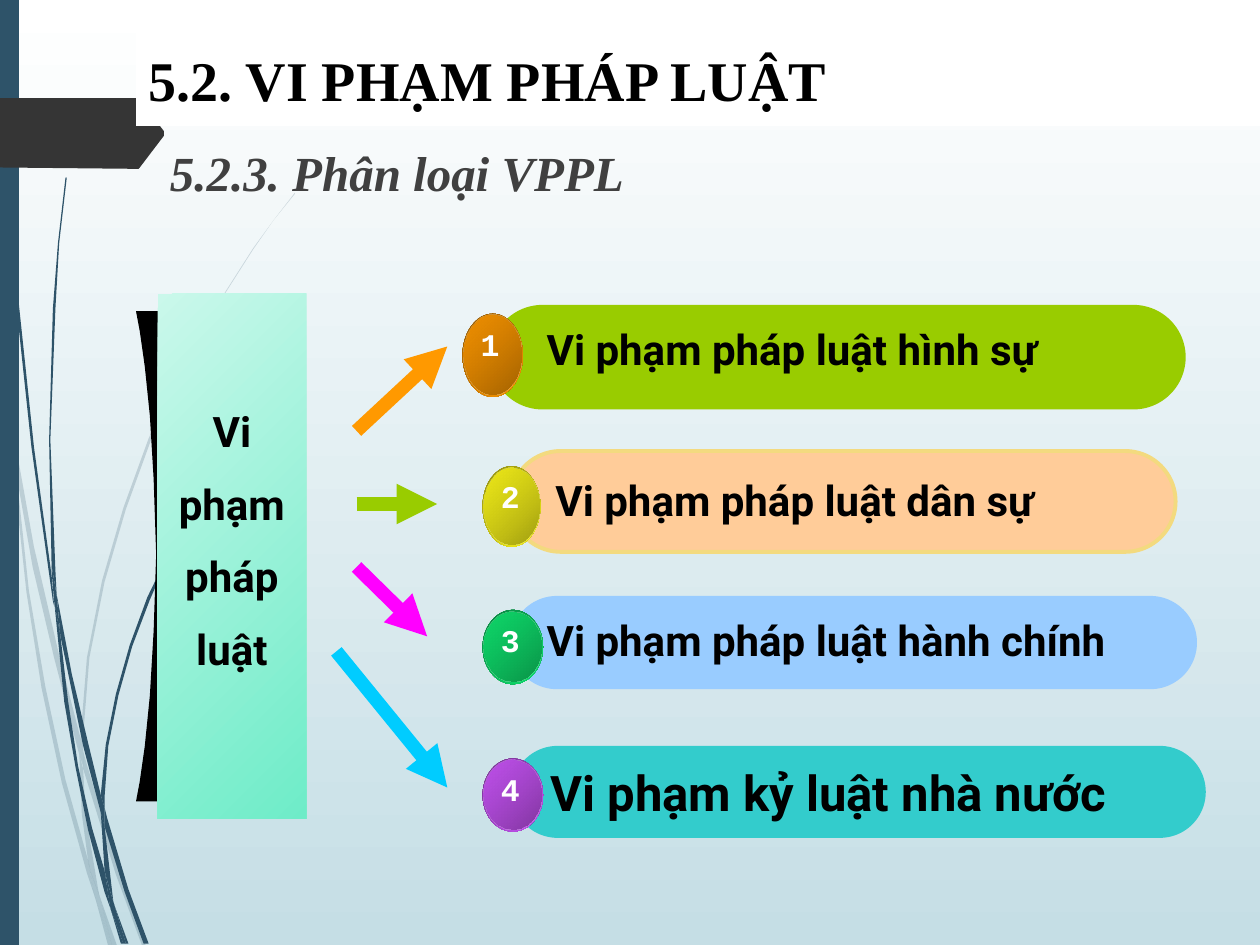
"""Build a slide that sorts breaches of law into four kinds."""
from lxml.etree import SubElement
from pptx import Presentation
from pptx.dml.color import RGBColor
from pptx.enum.shapes import MSO_CONNECTOR, MSO_SHAPE
from pptx.enum.text import MSO_ANCHOR, PP_ALIGN
from pptx.oxml.ns import qn
from pptx.util import Pt

PX = 9144
WIDTH, HEIGHT = 1000, 750

BLACK = RGBColor(0, 0, 0)
WHITE = RGBColor(255, 255, 255)
GRAY = RGBColor(0x40, 0x40, 0x40)
CHARCOAL = RGBColor(0x35, 0x35, 0x35)
NAVY = RGBColor(0x2E, 0x53, 0x69)
SKY = RGBColor(0xC5, 0xDE, 0xE5)
MINT = RGBColor(0xCA, 0xF8, 0xEB)
GREEN_MINT = RGBColor(0x6E, 0xEC, 0xC8)
ORANGE = RGBColor(0xFF, 0x99, 0)
BROWN = RGBColor(0x92, 0x58, 0)
DARK_BROWN = RGBColor(0xA2, 0x61, 0)
LIME = RGBColor(0x99, 0xCC, 0)
PEACH = RGBColor(0xFF, 0xCC, 0x99)
SAND = RGBColor(0xF3, 0xDA, 0x7F)
YELLOW = RGBColor(0xFC, 0xF7, 0x1A)
OLIVE = RGBColor(0x90, 0x8D, 0x0F)
DARK_OLIVE = RGBColor(0xA0, 0x9D, 0x11)
BLUE = RGBColor(0x99, 0xCC, 0xFF)
GREEN = RGBColor(0x10, 0xE4, 0x70)
DEEP_GREEN = RGBColor(0x09, 0x83, 0x40)
DARK_GREEN = RGBColor(0x0A, 0x91, 0x47)
TEAL = RGBColor(0x33, 0xCC, 0xCC)
VIOLET = RGBColor(0xCA, 0x55, 0xF9)
DEEP_VIOLET = RGBColor(0x74, 0x31, 0x8F)
DARK_VIOLET = RGBColor(0x80, 0x36, 0x9E)
MAGENTA = RGBColor(0xFF, 0, 0xFF)
CYAN = RGBColor(0, 0xCC, 0xFF)

TITLE = "5.2. VI PHẠM PHÁP LUẬT"
SUBTITLE = "5.2.3. Phân loại VPPL"
PANEL_WORDS = ["Vi", "phạm", "pháp", "luật"]

KINDS = [
    dict(label="Vi phạm pháp luật hình sự", size=24, at=(424, 252), bar=(389, 242, 552, 83),
         fill=LIME, edge=None, ball=(367, 249, 48, 66), tones=(ORANGE, DARK_BROWN, BROWN)),
    dict(label="Vi phạm pháp luật dân sự", size=24, at=(431, 372), bar=(405, 358, 528, 80),
         fill=PEACH, edge=SAND, ball=(383, 370, 46, 64), tones=(YELLOW, DARK_OLIVE, OLIVE)),
    dict(label="Vi phạm pháp luật hành chính", size=24, at=(424, 483), bar=(405, 473, 545, 74),
         fill=BLUE, edge=None, ball=(383, 484, 48, 59), tones=(GREEN, DARK_GREEN, DEEP_GREEN)),
    dict(label="Vi phạm kỷ luật nhà nước", size=28, at=(427, 600), bar=(406, 592, 551, 73),
         fill=TEAL, edge=None, ball=(383, 602, 48, 58), tones=(VIOLET, DARK_VIOLET, DEEP_VIOLET)),
]
ARROWS = [
    ((283, 342), (355, 275), ORANGE),
    ((283, 400), (347, 400), LIME),
    ((283, 450), (339, 505), MAGENTA),
    ((267, 517), (355, 625), CYAN),
]

PALE_WISPS = [
    [(8, 350), (6, 322), (0, 282), (0, 299), (8, 344)],
    [(43, 522), (63, 599), (64, 586), (47, 520), (27, 434), (11, 345), (13, 376), (26, 450)],
    [(69, 607), (66, 596), (66, 610), (92, 694), (113, 751), (116, 751), (95, 692)],
    [(89, 751), (93, 751), (79, 711)],
    [(70, 683), (52, 619), (36, 545), (23, 469), (13, 376), (8, 350), (21, 470), (33, 546),
     (49, 621), (69, 693), (76, 714), (74, 707)],
    [(63, 599), (65, 646), (70, 683), (72, 692), (79, 711), (78, 706), (68, 646), (66, 610)],
    [(66, 584), (71, 522), (83, 462), (100, 404), (120, 349), (144, 295), (171, 245), (201, 198),
     (217, 175), (234, 154), (234, 153), (217, 175), (201, 197), (171, 244), (143, 294),
     (118, 348), (98, 403), (81, 461), (69, 522), (64, 584), (64, 586), (66, 596)],
    [(76, 714), (86, 751), (89, 751)],
    [(66, 608), (66, 596), (64, 586), (63, 599)],
    [(72, 692), (70, 683), (74, 707), (76, 714), (89, 751), (79, 711)],
]
DARK_WISPS = [
    [(5, 110), (12, 233), (25, 355), (42, 477), (43, 481), (41, 457), (27, 355), (14, 232),
     (6, 109), (3, 48), (3, 0), (2, 0), (3, 48)],
    [(66, 592), (80, 645), (80, 631), (70, 590), (57, 535), (45, 472), (48, 505)],
    [(85, 649), (83, 641), (83, 656), (99, 708), (114, 749), (118, 749), (102, 706)],
    [(83, 691), (73, 657), (62, 608), (54, 556), (48, 505), (43, 477), (51, 557), (60, 609),
     (70, 659), (83, 708), (88, 722), (87, 717)],
    [(45, 472), (44, 453), (40, 349), (44, 245), (47, 193), (53, 141), (52, 141), (46, 193),
     (42, 245), (39, 349), (41, 449)],
    [(100, 749), (102, 749), (91, 719)],
    [(43, 477), (48, 505), (45, 472), (41, 449), (41, 453)],
    [(83, 633), (86, 592), (94, 552), (105, 513), (119, 476), (135, 440), (153, 406), (173, 374),
     (184, 359), (196, 344), (195, 344), (184, 358), (173, 373), (153, 405), (134, 439),
     (117, 474), (103, 512), (92, 551), (84, 591), (80, 631), (83, 641)],
    [(88, 722), (96, 749), (98, 749)],
    [(80, 645), (83, 691), (87, 706), (91, 719), (90, 716), (83, 656)],
    [(80, 645), (83, 656), (83, 641), (80, 631)],
    [(87, 706), (83, 691), (87, 717), (88, 722), (98, 749), (100, 749), (91, 719)],
]
TAG = [(0, 78), (110, 78), (111, 79), (130, 104), (130, 108), (111, 133), (110, 134), (102, 134), (0, 133)]
PANEL_SHADE = [(108, 636), (111, 620), (115, 592), (119, 552), (122, 501), (124, 440), (122, 380),
               (119, 330), (115, 291), (111, 263), (108, 247), (151, 247), (165, 442), (151, 636)]


def scaled(*lengths):
    return [length * PX for length in lengths]


def set_gradient(fill, first, second, angle):
    fill.gradient()
    fill.gradient_angle = (360 - angle) % 360
    for stop, color in zip(fill.gradient_stops, (first, second)):
        stop.color.rgb = color


def set_alpha(shape, percent):
    color = shape.element.spPr.find(".//" + qn("a:srgbClr"))
    SubElement(color, qn("a:alpha"), val=str(percent * 1000))


def paint(shape, fill, edge=None):
    shape.shadow.inherit = False
    if isinstance(fill, tuple) and len(fill) == 2:
        set_gradient(shape.fill, *fill, 45)
    else:
        shape.fill.solid()
        shape.fill.fore_color.rgb = fill
    if edge is None:
        shape.line.fill.background()
    else:
        shape.line.color.rgb = edge
        shape.line.width = Pt(2.25)
    return shape


def add_preset(slide, kind, box, fill, edge=None):
    return paint(slide.shapes.add_shape(kind, *scaled(*box)), fill, edge)


def add_outline(slide, points, fill):
    builder = slide.shapes.build_freeform(*points[0], scale=PX)
    builder.add_line_segments(points[1:], close=True)
    return paint(builder.convert_to_shape(), fill)


def write(frame, lines, name, size, color=BLACK, align=PP_ALIGN.LEFT, gap=0, italic=False):
    for index, line in enumerate(lines):
        paragraph = frame.paragraphs[0] if index == 0 else frame.add_paragraph()
        paragraph.text = line
        paragraph.alignment = align
        paragraph.space_before = Pt(gap if index else 0)
        style = dict(name=name, size=Pt(size), bold=True, italic=italic)
        for key, value in style.items():
            setattr(paragraph.runs[0].font, key, value)
        paragraph.runs[0].font.color.rgb = color


def add_text(slide, box, lines, name, size, wrap=True, **style):
    frame = slide.shapes.add_textbox(*scaled(*box)).text_frame
    frame.word_wrap = wrap
    write(frame, lines, name, size, **style)


def add_backdrop(slide):
    set_gradient(slide.background.fill, WHITE, SKY, 90)
    for points in PALE_WISPS:
        set_alpha(add_outline(slide, points, NAVY), 20)
    for points in DARK_WISPS:
        add_outline(slide, points, NAVY)
    add_preset(slide, MSO_SHAPE.RECTANGLE, (0, 0, 15, HEIGHT), NAVY)
    add_outline(slide, TAG, CHARCOAL)


def add_title(slide):
    title = slide.shapes.title
    title.element.getparent().append(title.element)
    title.left, title.top, title.width, title.height = scaled(108, 25, 892, 75)
    title.fill.solid()
    title.fill.fore_color.rgb = WHITE
    title.text_frame.vertical_anchor = MSO_ANCHOR.MIDDLE
    write(title.text_frame, [TITLE], "Times New Roman", 32)


def add_kind(slide, number, kind):
    bar = add_preset(slide, MSO_SHAPE.ROUNDED_RECTANGLE, kind["bar"], kind["fill"], kind["edge"])
    bar.adjustments[0] = 0.5
    add_text(slide, (*kind["at"], 530, 72), [kind["label"]], "Roboto", kind["size"])
    left, top, width, height = kind["ball"]
    light, dark, rim = kind["tones"]
    add_preset(slide, MSO_SHAPE.OVAL, kind["ball"], (rim, light))
    face = (left + 1, top + 1, width - 2, height - 3)
    set_alpha(add_preset(slide, MSO_SHAPE.OVAL, face, (light, dark)), 85)
    add_text(slide, (left + 4, top + 4, 36, 50), [str(number)], "Courier New", 18,
             wrap=False, color=WHITE, align=PP_ALIGN.CENTER)


def add_arrow(slide, start, end, color):
    arrow = slide.shapes.add_connector(MSO_CONNECTOR.STRAIGHT, *scaled(*start, *end))
    arrow.line.color.rgb = color
    arrow.line.width = Pt(7.75)
    SubElement(arrow.line._get_or_add_ln(), qn("a:tailEnd"), type="triangle")
    SubElement(arrow.element.spPr, qn("a:effectLst"))


def main():
    presentation = Presentation()
    presentation.slide_width, presentation.slide_height = scaled(WIDTH, HEIGHT)
    slide = presentation.slides.add_slide(presentation.slide_layouts[5])
    add_backdrop(slide)
    add_title(slide)
    add_text(slide, (125, 108, 875, 60), [SUBTITLE], "Times New Roman", 28, color=GRAY, italic=True)
    for number, kind in enumerate(KINDS, 1):
        add_kind(slide, number, kind)
    add_outline(slide, PANEL_SHADE, BLACK)
    add_preset(slide, MSO_SHAPE.RECTANGLE, (125, 233, 118, 417), (MINT, GREEN_MINT))
    add_text(slide, (125, 317, 118, 230), PANEL_WORDS, "Roboto", 24, align=PP_ALIGN.CENTER, gap=12.6)
    for arrow in ARROWS:
        add_arrow(slide, *arrow)
    presentation.save("out.pptx")


if __name__ == "__main__":
    main()
